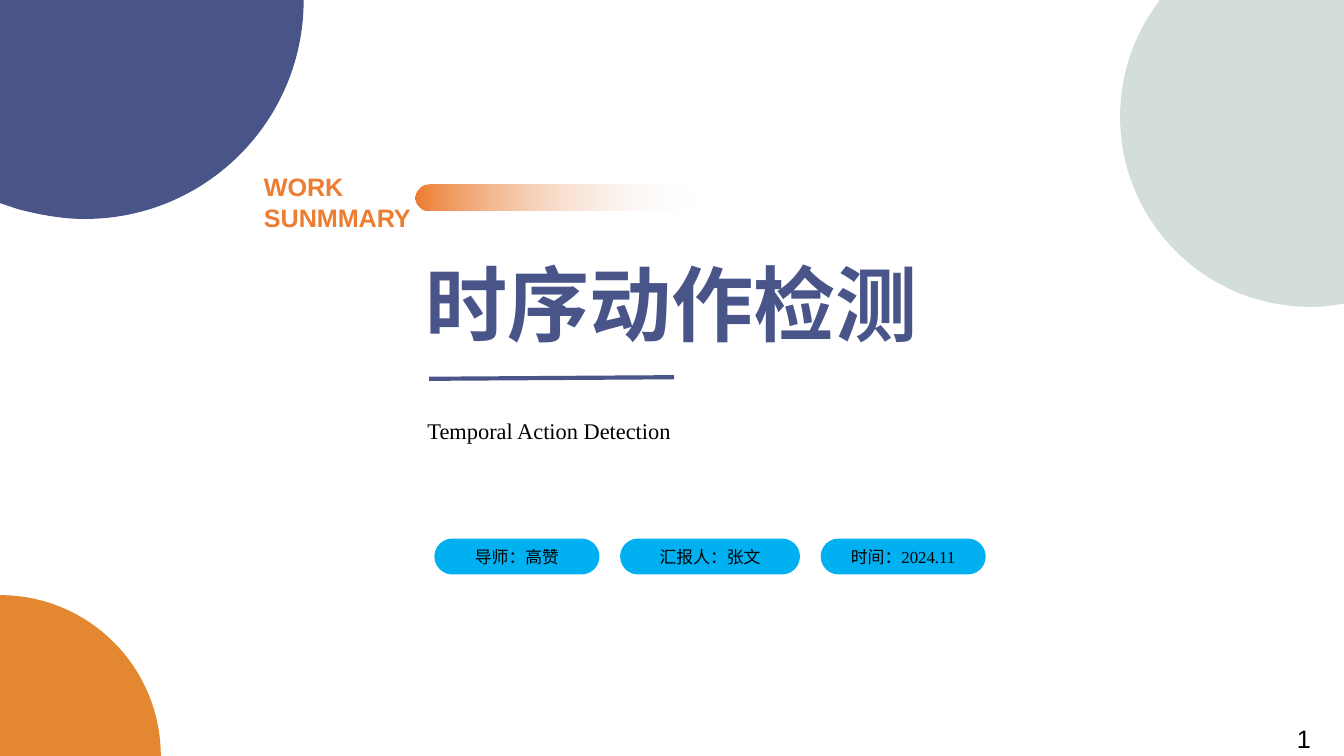
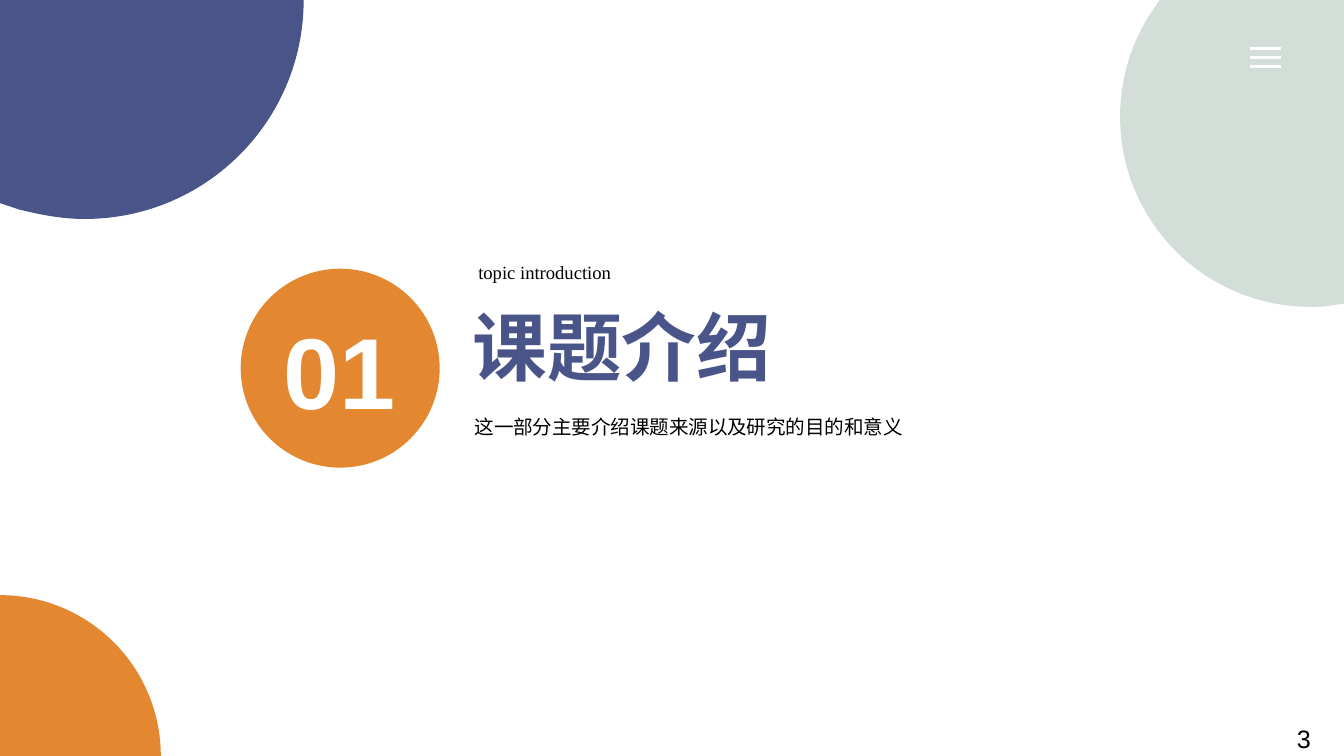
from dataclasses import dataclass

from lxml import etree
from pptx import Presentation
from pptx.dml.color import RGBColor
from pptx.enum.shapes import MSO_CONNECTOR, MSO_SHAPE
from pptx.enum.text import MSO_ANCHOR, MSO_AUTO_SIZE, PP_ALIGN
from pptx.oxml.ns import qn
from pptx.util import Cm, Pt

LEFT, CENTER = PP_ALIGN.LEFT, PP_ALIGN.CENTER
MIDDLE = MSO_ANCHOR.MIDDLE
GROW = MSO_AUTO_SIZE.SHAPE_TO_FIT_TEXT
PILL, OVAL = MSO_SHAPE.ROUNDED_RECTANGLE, MSO_SHAPE.OVAL
STRAIGHT = MSO_CONNECTOR.STRAIGHT


@dataclass(frozen=True)
class Theme:
    navy: str = "495589"
    orange: str = "E38730"
    sage: str = "D3DED8"
    sky: str = "00B0F0"
    coral: str = "ED7D31"
    pale: str = "F5F6FA"
    black: str = "000000"
    white: str = "FFFFFF"
    sans: str = "Arial"
    serif: str = "Times New Roman"
    han: str = "Noto Sans CJK SC"
    digit: float = 54
    title: float = 44
    head: float = 40
    label: float = 13.5
    lead: float = 12
    body: float = 10.5
    note: float = 10
    tag: float = 9


theme = Theme()


def paint(shape, color):
    shape.shadow.inherit = False
    shape.line.fill.background()
    shape.fill.solid()
    shape.fill.fore_color.rgb = RGBColor.from_string(color)


def write(shape, text, size, font=theme.sans, color=theme.black,
          bold=False, align=LEFT, space=None, wrap=True):
    frame = shape.text_frame
    frame.text = text
    frame.word_wrap = wrap
    for para in frame.paragraphs:
        para.alignment = align
        para.line_spacing = space
        run = para.runs[0]
        run.font.size = Pt(size)
        run.font.name = font
        run.font.bold = bold
        run.font.color.rgb = RGBColor.from_string(color)
        east = etree.SubElement(run.font._element, qn("a:ea"))
        east.set("typeface", theme.han)


deck = Presentation()
wide, high = 25.4, 14.29
deck.slide_width, deck.slide_height = Cm(wide), Cm(high)
blank = deck.slide_layouts[6]
cover = deck.slides.add_slide(blank)
part = deck.slides.add_slide(blank)

# one point makes a line, three make a curve
discs = [
    (theme.navy, (0, 0), [
        [(5.74, 0)],
        [(5.74, 2.29), (3.89, 4.14), (1.6, 4.14)],
        [(1.17, 4.14), (0.76, 4.06), (0.36, 3.96)],
        [(0, 3.84)]]),
    (theme.orange, (0, 11.25), [
        [(1.68, 11.25), (3.04, 12.61), (3.04, high)],
        [(0, high)]]),
    (theme.sage, (21.92, 0), [
        [(wide, 0)],
        [(wide, 5.74)],
        [(25.12, 5.78)],
        [(25.01, 5.8), (24.89, 5.8), (24.76, 5.8)],
        [(22.78, 5.8), (21.17, 4.19), (21.17, 2.21)],
        [(21.17, 1.47), (21.39, 0.78), (21.78, 0.2)]]),
]
tree = deck.slide_master.element.cSld.spTree
for color, (left, top), parts in discs:
    pen = cover.shapes.build_freeform(Cm(left), Cm(top), 1)
    pen.add_line_segments([(Cm(x), Cm(y)) for points in parts for x, y in points])
    disc = pen.convert_to_shape()
    paint(disc, color)
    nodes = iter(list(disc.element.iter(qn("a:lnTo"))))
    for points in parts:
        curve, *rest = [next(nodes) for point in points]
        if rest:
            curve.tag = qn("a:cubicBezTo")
        for node in rest:
            curve.append(node[0])
            node.getparent().remove(node)
    tree.append(disc.element)

lines = [(cover, 8.11, 7.16, 12.74, 7.13, theme.navy, 2.25)]
for i in range(3):
    level = 0.91 + 0.17 * i
    lines.append((part, 23.62, level, 24.21, level, theme.white, 1.5))
for slide, left, top, right, end, color, width in lines:
    line = slide.shapes.add_connector(
        STRAIGHT, Cm(left), Cm(top), Cm(right), Cm(end))
    line.line.color.rgb = RGBColor.from_string(color)
    line.line.width = Pt(width)
    etree.SubElement(line.element.spPr, qn("a:effectLst"))

tags = [("导师：高赞", 3.12, theme.han),
        ("汇报人：张文", 3.4, theme.han),
        ("时间：2024.11", 3.12, theme.serif)]
left = 8.21
for text, width, font in tags:
    pill = cover.shapes.add_shape(PILL, Cm(left), Cm(10.18), Cm(width), Cm(0.68))
    pill.adjustments[0] = 0.5
    paint(pill, theme.sky)
    pill.text_frame.vertical_anchor = MIDDLE
    write(pill, text, theme.tag, font, align=CENTER)
    left += width + 0.39

bar = cover.shapes.add_shape(PILL, Cm(7.85), Cm(3.48), Cm(5.28), Cm(0.5))
bar.adjustments[0] = 0.5
paint(bar, theme.coral)
bar.fill.gradient()
bar.fill.gradient_angle = 180
for stop, color in zip(bar.fill.gradient_stops, (theme.pale, theme.coral)):
    stop.color.rgb = RGBColor.from_string(color)
clear = bar.element.spPr.find(".//" + qn("a:srgbClr"))
etree.SubElement(clear, qn("a:alpha")).set("val", "0")

badge = part.shapes.add_shape(OVAL, Cm(4.55), Cm(5.08), Cm(3.76), Cm(3.76))
paint(badge, theme.orange)

navy = dict(color=theme.navy, bold=True, wrap=False)
boxes = [
    (cover, 7.79, 4.67, 9.83, 2.13, "时序动作检测", theme.title, navy),
    (cover, 7.83, 7.51, 7.82, 1.02, "Temporal Action Detection", theme.lead,
     dict(font=theme.serif, space=1.5)),
    (cover, 4.74, 3.12, 4.11, 1.4, "WORK\nSUNMMARY", theme.label,
     dict(color=theme.coral, bold=True)),
    (part, 8.68, 5.57, 6.15, 1.96, "课题介绍", theme.head, navy),
    (part, 8.72, 7.49, 12.14, 0.91,
     "这一部分主要介绍课题来源以及研究的目的和意义", theme.body,
     dict(font=theme.han, space=1.5)),
    (part, 8.79, 4.8, 3.02, 0.69, "topic introduction", theme.note,
     dict(font=theme.serif, wrap=False)),
    (part, 4.93, 5.72, 2.97, 2.57, "01", theme.digit,
     dict(color=theme.white, bold=True, align=CENTER)),
]
for slide, page in ((cover, "1"), (part, "3")):
    boxes.append((slide, 24.26, 13.54, 1.04, 0.84, page, theme.label, {}))
for slide, left, top, width, height, text, size, style in boxes:
    box = slide.shapes.add_textbox(Cm(left), Cm(top), Cm(width), Cm(height))
    write(box, text, size, **style)
    box.text_frame.auto_size = GROW

deck.save("out.pptx")
